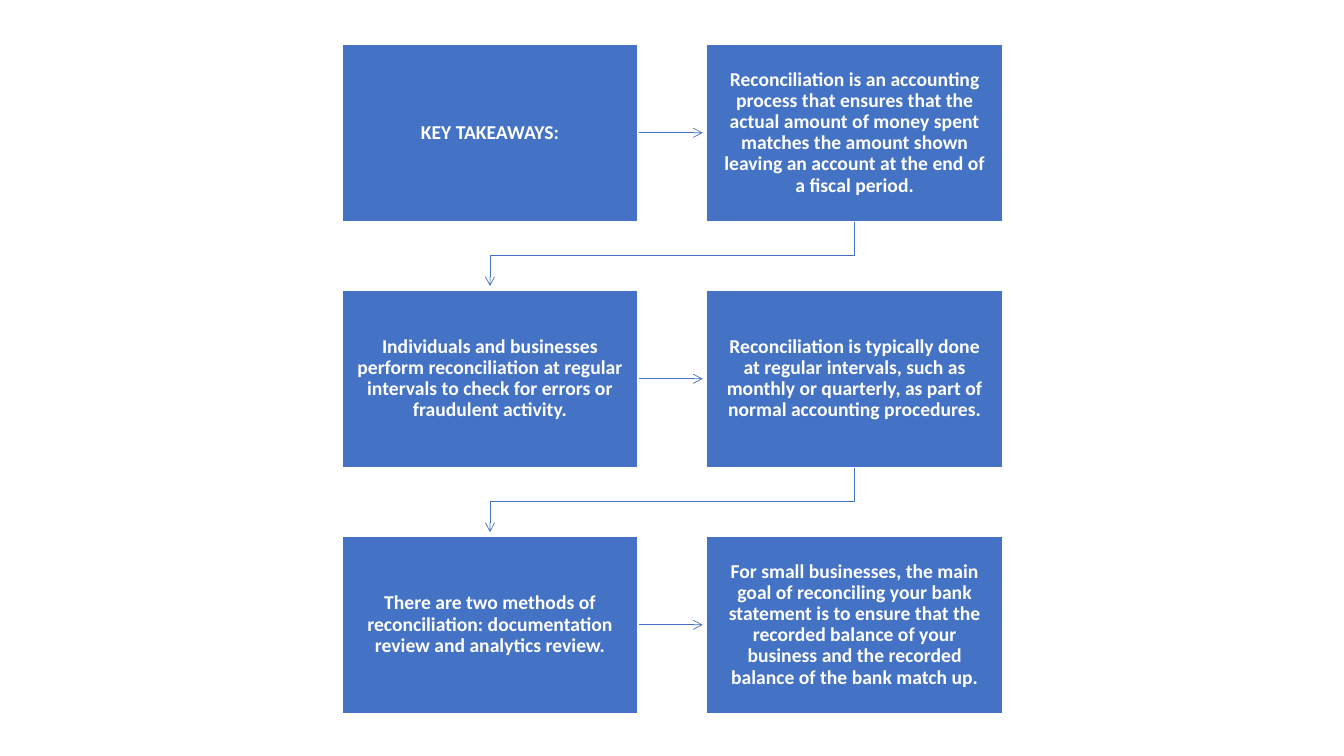
from lxml import etree
from pptx import Presentation
from pptx import util as u
from pptx.dml.color import RGBColor
from pptx.enum import shapes, text
from pptx.oxml import ns

BLUE = RGBColor(0x44, 0x72, 0xC4)
WHITE = RGBColor(0xFF, 0xFF, 0xFF)

LEFT, TOP = u.Cm(8.62), u.Cm(1.11)
WIDTH, HEIGHT = u.Cm(7.46), u.Cm(4.47)
COLUMN_STEP, ROW_STEP = u.Cm(9.19), u.Cm(6.2)
ARROW_LENGTH, ELBOW_DROP = u.Cm(1.63), u.Cm(0.86)
COLUMNS = 2

TAKEAWAYS = [
    "KEY TAKEAWAYS:",
    "Reconciliation is an accounting process that ensures that the actual amount "
    "of money spent matches the amount shown leaving an account at the end of a "
    "fiscal period.",
    "Individuals and businesses perform reconciliation at regular intervals to "
    "check for errors or fraudulent activity.",
    "Reconciliation is typically done at regular intervals, such as monthly or "
    "quarterly, as part of normal accounting procedures.",
    "There are two methods of reconciliation: documentation review and analytics "
    "review.",
    "For small businesses, the main goal of reconciling your bank statement is to "
    "ensure that the recorded balance of your business and the recorded balance "
    "of the bank match up.",
]


class FlowSlide:
    """Draws the boxes and arrows of a flow on one slide in one style."""

    def __init__(self, slide, font_name="Calibri", font_size=14):
        self.slide = slide
        self.font_name = font_name
        self.font_size = u.Pt(font_size)

    def box(self, left, top, words):
        shape = self.slide.shapes.add_shape(
            shapes.MSO_SHAPE.RECTANGLE, left, top, WIDTH, HEIGHT)
        shape.shadow.inherit = False
        shape.fill.solid()
        shape.fill.fore_color.rgb = BLUE
        shape.line.color.rgb = WHITE
        shape.line.width = u.Pt(1)
        frame = shape.text_frame
        frame.word_wrap = True
        frame.vertical_anchor = text.MSO_ANCHOR.MIDDLE
        frame.margin_left = frame.margin_right = u.Cm(0.36)
        frame.margin_top = frame.margin_bottom = u.Cm(0.38)
        paragraph = frame.paragraphs[0]
        paragraph.text = words
        paragraph.alignment = text.PP_ALIGN.CENTER
        paragraph.line_spacing = 0.9
        font = paragraph.font
        font.name, font.size, font.bold = self.font_name, self.font_size, True
        font.color.rgb = WHITE

    def straight_arrow(self, left, top):
        connector = self.slide.shapes.add_connector(
            shapes.MSO_CONNECTOR.STRAIGHT, left, top, left + ARROW_LENGTH, top)
        self.arrow_style(connector)
        etree.SubElement(connector.element.spPr, ns.qn("a:effectLst"))

    def elbow_arrow(self, left, top):
        end = left - COLUMN_STEP
        builder = self.slide.shapes.build_freeform(left, top)
        builder.add_line_segments(
            [(left, top + ELBOW_DROP), (end, top + ELBOW_DROP),
             (end, top + ARROW_LENGTH)], close=False)
        shape = builder.convert_to_shape()
        shape.fill.background()
        self.arrow_style(shape)
        shape.shadow.inherit = False

    def arrow_style(self, shape):
        shape.line.color.rgb = BLUE
        shape.line.width = u.Pt(0.5)
        line = shape.element.spPr.find(ns.qn("a:ln"))
        etree.SubElement(line, ns.qn("a:tailEnd"), type="arrow")


def main():
    presentation = Presentation()
    presentation.slide_width = u.Cm(33.87)
    presentation.slide_height = u.Cm(19.05)
    flow = FlowSlide(presentation.slides.add_slide(presentation.slide_layouts[6]))
    for index, words in enumerate(TAKEAWAYS):
        row, column = divmod(index, COLUMNS)
        left = LEFT + column * COLUMN_STEP
        top = TOP + row * ROW_STEP
        if column < COLUMNS - 1:
            flow.straight_arrow(left + WIDTH, top + HEIGHT // 2)
        elif index < len(TAKEAWAYS) - 1:
            flow.elbow_arrow(left + WIDTH // 2, top + HEIGHT)
        flow.box(left, top, words)
    presentation.save("out.pptx")


if __name__ == "__main__":
    main()
